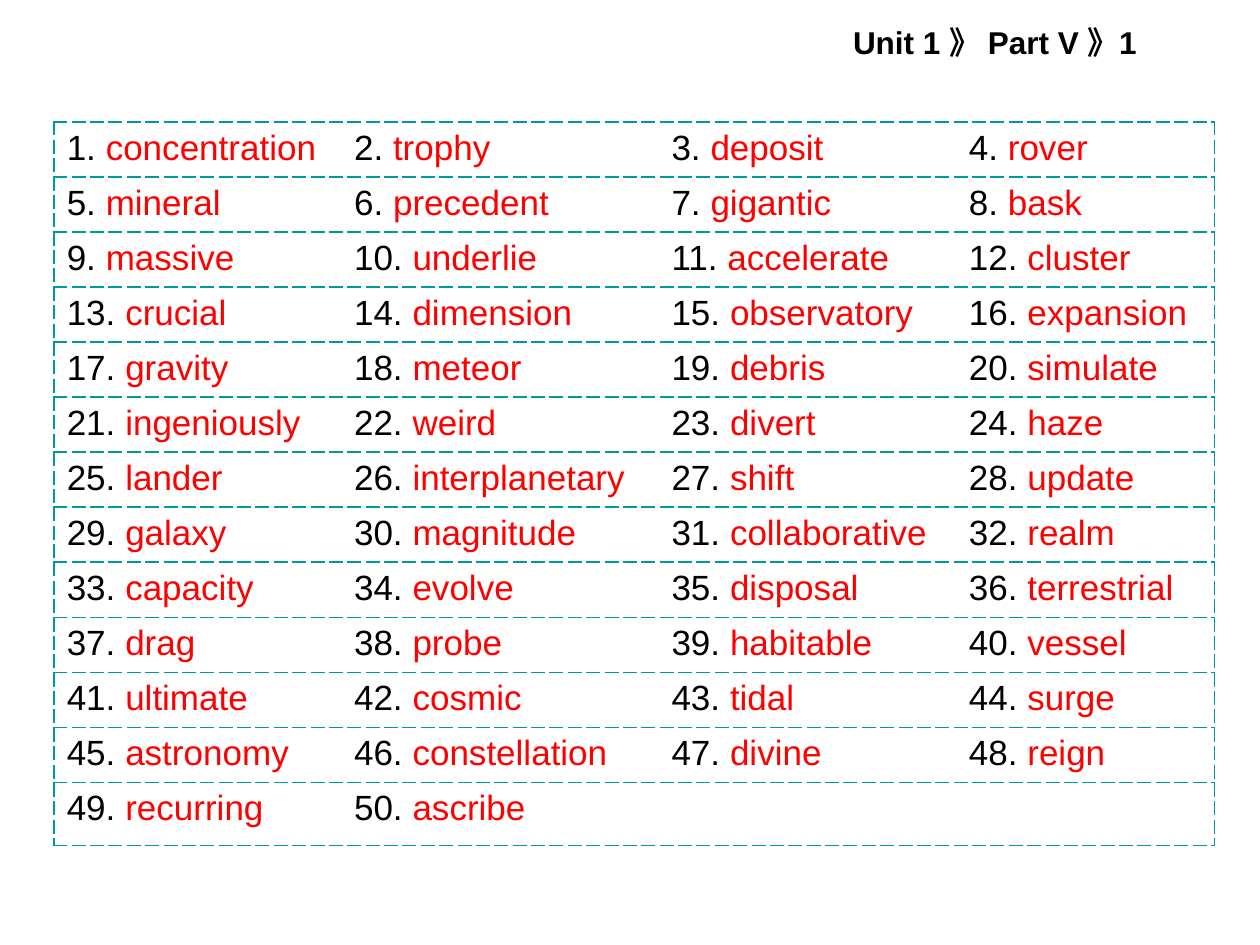
from lxml.etree import SubElement
from pptx import Presentation
from pptx.dml.color import RGBColor
from pptx.enum.text import MSO_ANCHOR, MSO_AUTO_SIZE, PP_ALIGN
from pptx.oxml.ns import qn
from pptx.util import Inches, Pt

HEADING = "Unit 1 》 Part V 》1"
WORDS = """
concentration trophy deposit rover
mineral precedent gigantic bask
massive underlie accelerate cluster
crucial dimension observatory expansion
gravity meteor debris simulate
ingeniously weird divert haze
lander interplanetary shift update
galaxy magnitude collaborative realm
capacity evolve disposal terrestrial
drag probe habitable vessel
ultimate cosmic tidal surge
astronomy constellation divine reign
recurring ascribe
""".split()

BLACK, RED, TEAL = "000000", "FF0000", "009999"
COL_WIDTHS = [2.28, 2.52, 2.36, 2.05]
COLS = len(COL_WIDTHS)
ROWS = -(-len(WORDS) // COLS)
TABLE_LEFT, TABLE_TOP, TABLE_HEIGHT, LAST_ROW = 0.43, 0.97, 5.74, 0.5
ROW_HEIGHT = (TABLE_HEIGHT - LAST_ROW) / (ROWS - 1)


def rgb(value):
    return RGBColor.from_string(value)


def add_run(p, text, size, color, bold=False):
    r = p.add_run()
    r.text = text
    for name, value in {"name": "Arial", "size": Pt(size), "bold": bold}.items():
        setattr(r.font, name, value)
    r.font.color.rgb = rgb(color)


def set_borders(cell, sides):
    tcPr = cell._tc.get_or_add_tcPr()
    for side in "LRTB":
        ln = SubElement(tcPr, qn(f"a:ln{side}"), w=str(Pt(1.08)))
        if side in sides:
            fill = SubElement(ln, qn("a:solidFill"))
            SubElement(fill, qn("a:srgbClr"), val=TEAL)
            SubElement(ln, qn("a:prstDash"), val="dash")
        else:
            SubElement(ln, qn("a:noFill"))


def add_heading(s):
    sp = s.shapes.title
    box = {"left": 6.67, "top": 0.13, "width": 2.7, "height": 0.4}
    for name, value in box.items():
        setattr(sp, name, Inches(value))
    tf = sp.text_frame
    tf.word_wrap = False
    tf.auto_size = MSO_AUTO_SIZE.SHAPE_TO_FIT_TEXT
    tf.vertical_anchor = MSO_ANCHOR.TOP
    p = tf.paragraphs[0]
    p.alignment = PP_ALIGN.LEFT
    add_run(p, HEADING, 18, BLACK, True)


def add_word_table(s):
    table = s.shapes.add_table(
        ROWS, COLS, Inches(TABLE_LEFT), Inches(TABLE_TOP),
        Inches(sum(COL_WIDTHS)), Inches(TABLE_HEIGHT),
    ).table
    table.first_row = table.horz_banding = False
    for column, width in zip(table.columns, COL_WIDTHS):
        column.width = Inches(width)
    for i, row in enumerate(table.rows):
        row.height = Inches(LAST_ROW if i == ROWS - 1 else ROW_HEIGHT)
    for i in range(ROWS * COLS):
        row, col = divmod(i, COLS)
        cell = table.cell(row, col)
        set_borders(cell, "TB" + "L" * (col == 0) + "R" * (col == COLS - 1))
        cell.fill.background()
        if i < len(WORDS):
            p = cell.text_frame.paragraphs[0]
            add_run(p, f"{i + 1}. ", 20, BLACK)
            add_run(p, WORDS[i], 20, RED)


def main():
    prs = Presentation()
    prs.slide_width, prs.slide_height = Inches(10), Inches(7.5)
    s = prs.slides.add_slide(prs.slide_layouts[5])
    add_word_table(s)
    add_heading(s)
    prs.save("out.pptx")


if __name__ == "__main__":
    main()
